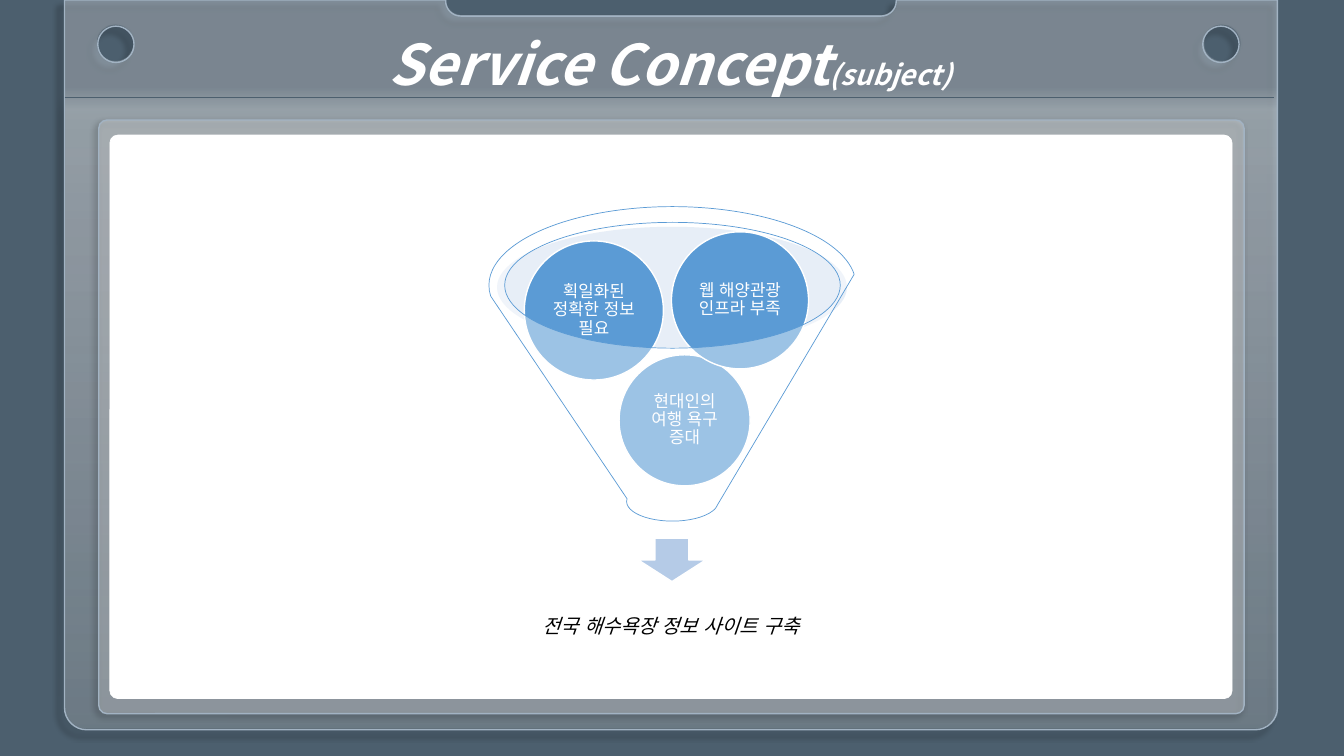
from dataclasses import dataclass
from typing import NamedTuple

from lxml import etree
from pptx import Presentation
from pptx.dml.color import RGBColor
from pptx.enum import lang, shapes, text
from pptx.oxml import ns
from pptx.util import Inches, Pt

FONT = "Noto Sans CJK KR"
COLORS = {
    "background": "4C5F6E", "edge": "A2B3C3", "sheen": "F7FAFD", "white": "FFFFFF",
    "black": "000000", "blue": "5B9BD5", "rim": "C4D5EB", "arrow": "B5CBE7",
}
KIND = shapes.MSO_SHAPE
Point = tuple[float, float]
Box = tuple[float, float, float, float]


class Node(NamedTuple):
    """An outline point; a corner rounds the way to it by a quarter circle."""
    point: Point
    corner: Point | None = None


@dataclass
class Figure:
    kind: KIND
    box: Box
    fill: str
    line: str | None = None
    line_width: float = 1
    opacity: int = 100
    corner: float | None = None
    shadow_distance: float = 0


@dataclass
class Label:
    box: Box
    runs: list[tuple[str, float]]
    color: str = "white"
    bold: bool = False
    italic: bool = False
    inset: float = 0.02
    spacing: float = 0.9


@dataclass
class Ball:
    left: float
    top: float
    size: float
    margin: float
    words: str


LEFT, RIGHT, BOTTOM, ROUNDING = 0.64, 12.67, 7.24, 0.22
NOTCH_LEFT, NOTCH_RIGHT, NOTCH_BOTTOM, NOTCH_ROUNDING = 4.42, 8.89, 0.16, 0.15
HOLES, HOLE_RADIUS = [(12.11, 0.44), (1.15, 0.44)], 0.18
QUARTER_ARC = 0.55  # share of the way to the corner at which a control point lies

FRAMES = [
    Figure(KIND.ROUNDED_RECTANGLE, (0.98, 1.19, 11.36, 5.89), "white", "edge",
           opacity=28, corner=0.014, shadow_distance=3),
    Figure(KIND.ROUNDED_RECTANGLE, (1.09, 1.34, 11.13, 5.59), "white", "white", 0.5, corner=0.014),
]
TITLE = Label((3.67, -0.09, 5.96, 1.11), [("Service Concept", 40), ("(subject)", 20)],
              bold=True, italic=True, spacing=1.5)
RIM = Figure(KIND.OVAL, (4.93, 2.25, 3.47, 1.2), "rim", opacity=40)
ARROW = Figure(KIND.DOWN_ARROW, (6.33, 5.34, 0.67, 0.43), "arrow", "white")
RESULT = Label((5.04, 5.82, 3.23, 0.81), [("전국 해수욕장 정보 사이트 구축", 14)],
               "black", italic=True, inset=0.11)
BALLS = [
    Ball(6.14, 3.52, 1.3, 0.19, "현대인의 여행 욕구 증대"),
    Ball(5.2, 2.39, 1.38, 0.2, "획일화된 정확한 정보 필요"),
    Ball(6.66, 2.3, 1.36, 0.2, "웹 해양관광 인프라 부족"),
]
FUNNEL = Figure(KIND.FUNNEL, (4.85, 2.05, 3.64, 3.12), "white", "blue", 0.5, opacity=40)


def rgb(name: str) -> RGBColor:
    return RGBColor.from_string(COLORS[name])


def child(parent, tag: str, **attributes):
    return etree.SubElement(parent, ns.qn(tag), {k: str(v) for k, v in attributes.items()})


def add_color(parent, name: str, opacity: int) -> None:
    child(child(parent, "a:srgbClr", val=COLORS[name]), "a:alpha", val=opacity * 1000)


def set_line_and_shadow(shape, color: str | None, width: float, distance: float) -> None:
    if color:
        shape.line.color.rgb = rgb(color)
        shape.line.width = Pt(width)
    else:
        shape.line.fill.background()
    shape.shadow.inherit = False
    if distance:
        effects = shape._element.spPr.find(ns.qn("a:effectLst"))
        shadow = child(effects, "a:outerShdw", blurRad=Pt(4), dist=Pt(distance),
                       dir=135 * 60000, algn="tr", rotWithShape=0)
        add_color(shadow, "black", 40)


def draw_figure(slide, figure: Figure) -> None:
    shape = slide.shapes.add_shape(figure.kind, *map(Inches, figure.box))
    if figure.corner is not None:
        shape.adjustments[0] = figure.corner
    shape.fill.solid()
    shape.fill.fore_color.rgb = rgb(figure.fill)
    if figure.opacity < 100:
        color = shape._element.spPr.find(ns.qn("a:solidFill"))[0]
        child(color, "a:alpha", val=figure.opacity * 1000)
    set_line_and_shadow(shape, figure.line, figure.line_width, figure.shadow_distance)


def draw_label(slide, label: Label):
    frame = slide.shapes.add_textbox(*map(Inches, label.box)).text_frame
    frame.word_wrap = True
    frame.vertical_anchor = text.MSO_ANCHOR.MIDDLE
    frame.margin_left = frame.margin_right = Inches(label.inset)
    frame.margin_top = frame.margin_bottom = Inches(label.inset)
    paragraph = frame.paragraphs[0]
    paragraph.alignment = text.PP_ALIGN.CENTER
    paragraph.line_spacing = label.spacing
    for words, size in label.runs:
        run = paragraph.add_run()
        run.text = words
        font = run.font
        font.name, font.size = FONT, Pt(size)
        font.bold, font.italic = label.bold, label.italic
        font.color.rgb = rgb(label.color)
        font.language_id = lang.MSO_LANGUAGE_ID.KOREAN
        child(font._element, "a:ea", typeface=FONT)
    return frame


def hole(x: float, y: float) -> list[Node]:
    r = HOLE_RADIUS
    return [Node((x, y - r)), Node((x - r, y), (x - r, y - r)), Node((x, y + r), (x - r, y + r)),
            Node((x + r, y), (x + r, y + r)), Node((x, y - r), (x + r, y - r))]


def panel_outline() -> list[Node]:
    notch_y, side_y = NOTCH_BOTTOM - NOTCH_ROUNDING, BOTTOM - ROUNDING
    return [
        Node((LEFT, 0)), Node((NOTCH_LEFT, 0)), Node((NOTCH_LEFT, notch_y)),
        Node((NOTCH_LEFT + NOTCH_ROUNDING, NOTCH_BOTTOM), (NOTCH_LEFT, NOTCH_BOTTOM)),
        Node((NOTCH_RIGHT - NOTCH_ROUNDING, NOTCH_BOTTOM)),
        Node((NOTCH_RIGHT, notch_y), (NOTCH_RIGHT, NOTCH_BOTTOM)),
        Node((NOTCH_RIGHT, 0)), Node((RIGHT, 0)), Node((RIGHT, side_y)),
        Node((RIGHT - ROUNDING, BOTTOM), (RIGHT, BOTTOM)), Node((LEFT + ROUNDING, BOTTOM)),
        Node((LEFT, side_y), (LEFT, BOTTOM)),
    ]


def round_segment(segment, start: Point, node: Node) -> None:
    """Turn a straight segment into a Bezier quarter circle."""
    curve = etree.Element(ns.qn("a:cubicBezTo"))
    controls = [tuple(p + QUARTER_ARC * (c - p) for p, c in zip(end, node.corner))
                for end in (start, node.point)]
    for x, y in [*controls, node.point]:
        child(curve, "a:pt", x=Inches(x - LEFT), y=Inches(y))
    segment.getparent().replace(segment, curve)


def draw_panel(slide) -> None:
    """Draw the clipboard with its top notch and two punched holes."""
    contours = [*(hole(*center) for center in HOLES), panel_outline()]
    builder = slide.shapes.build_freeform()
    for contour in contours:
        points = [(Inches(x), Inches(y)) for (x, y), _ in contour]
        builder.move_to(*points[0])
        builder.add_line_segments(points[1:], close=True)
    first_move = builder.convert_to_shape(0, 0)
    shape = first_move
    properties = shape._element.spPr
    moves = list(properties.iter(ns.qn("a:moveTo")))
    if len(moves) > len(contours):
        moves[0].getparent().remove(moves[0])
    shape.left, shape.width = Inches(LEFT), Inches(RIGHT - LEFT)
    outline = next(properties.iter(ns.qn("a:pathLst")))[0]
    outline.set("w", str(Inches(RIGHT - LEFT)))
    for point in outline.iter(ns.qn("a:pt")):
        point.set("x", str(int(point.get("x")) - Inches(LEFT)))
    segments = list(outline.iter(ns.qn("a:lnTo")))
    steps = [pair for contour in contours for pair in zip(contour, contour[1:])]
    for segment, (start, node) in zip(segments, steps):
        if node.corner:
            round_segment(segment, start.point, node)
    shape.fill.gradient()
    gradient = properties.find(ns.qn("a:gradFill"))
    for element in list(gradient):
        gradient.remove(element)
    stops = child(gradient, "a:gsLst")
    for position, color, opacity in [(12, "sheen", 30), (15, "sheen", 47), (100, "white", 20)]:
        add_color(child(stops, "a:gs", pos=position * 1000), color, opacity)
    child(gradient, "a:lin", ang=90 * 60000, scaled=0)
    set_line_and_shadow(shape, "edge", 1, 7)


def main() -> None:
    presentation = Presentation()
    presentation.slide_width, presentation.slide_height = Inches(13.33), Inches(7.5)
    slide = presentation.slides.add_slide(presentation.slide_layouts[6])
    slide.background.fill.solid()
    slide.background.fill.fore_color.rgb = rgb("background")
    draw_panel(slide)
    rule = slide.shapes.add_connector(shapes.MSO_CONNECTOR.STRAIGHT,
                                      *map(Inches, (LEFT, 0.97, 12.64, 0.97)))
    rule.line.color.rgb, rule.line.width = rgb("background"), Pt(0.5)
    child(rule._element.spPr, "a:effectLst")
    for frame in FRAMES:
        draw_figure(slide, frame)
    title = draw_label(slide, TITLE)
    title.vertical_anchor = text.MSO_ANCHOR.TOP
    title.margin_top = title.margin_bottom = Inches(0.05)
    title.auto_size = text.MSO_AUTO_SIZE.SHAPE_TO_FIT_TEXT
    draw_figure(slide, RIM)
    draw_figure(slide, ARROW)
    draw_label(slide, RESULT)
    for ball in BALLS:
        draw_figure(slide, Figure(KIND.OVAL, (ball.left, ball.top, ball.size, ball.size),
                                  "blue", "white"))
        side = ball.size - 2 * ball.margin
        draw_label(slide, Label((ball.left + ball.margin, ball.top + ball.margin, side, side),
                                [(ball.words, 12)]))
    draw_figure(slide, FUNNEL)
    presentation.save("out.pptx")


if __name__ == "__main__":
    main()
